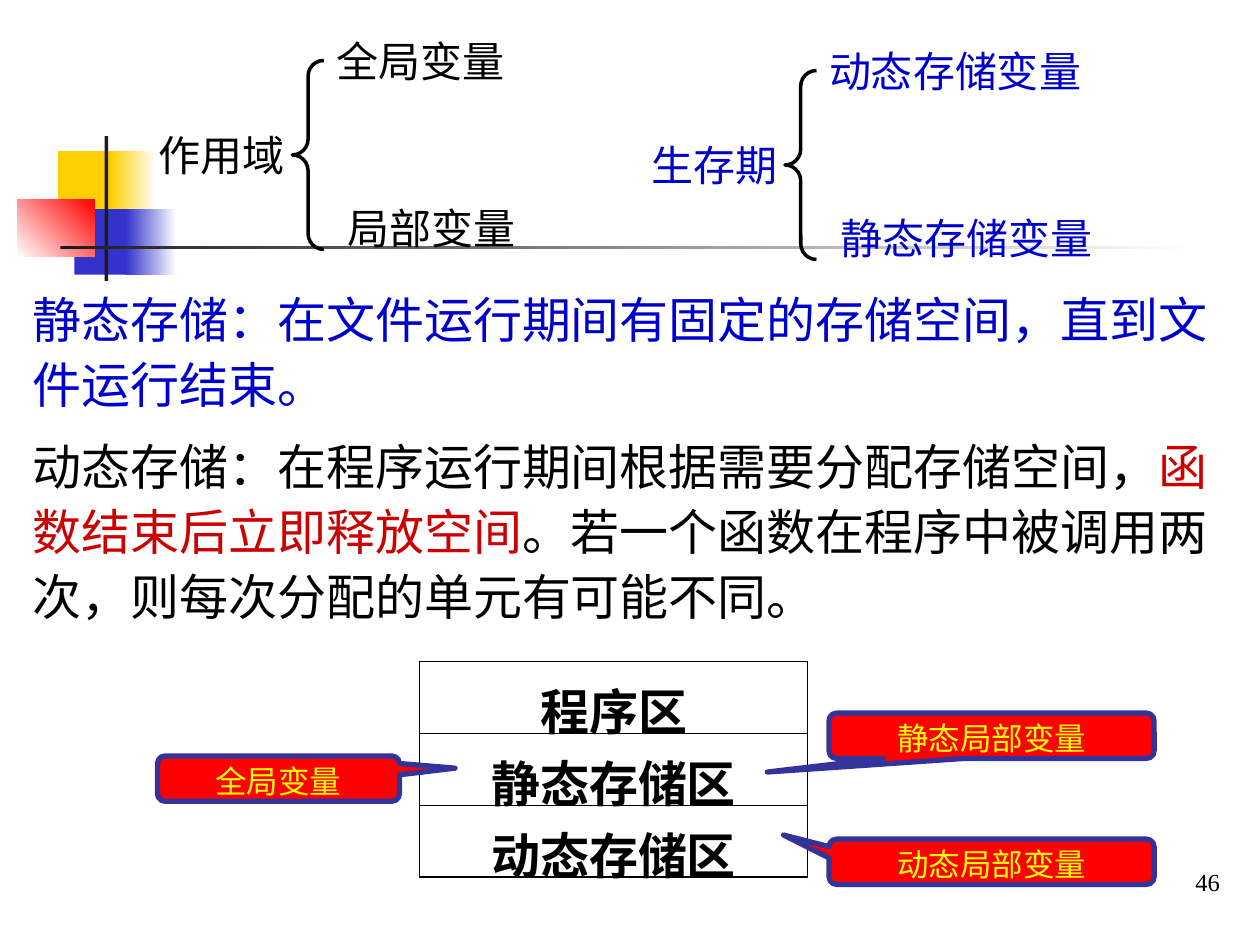
import pptx
import pptx.dml.color
import pptx.enum.shapes
import pptx.enum.text
import pptx.oxml
import pptx.oxml.ns
import pptx.util

PX = 9144  # EMU per px, 100 px to the inch
FONT = "Times New Roman"
COLORS = {
    "white": "FFFFFF", "black": "000000", "ink": "1C1C1C", "gold": "FFCF01",
    "indigo": "3333CC", "red": "FF0000", "blue": "0000CC", "crimson": "CC0000",
    "navy": "333399", "yellow": "FFFF00",
}
SHAPES = pptx.enum.shapes.MSO_SHAPE
ALIGN = pptx.enum.text.PP_ALIGN


def rgb(name):
    return pptx.dml.color.RGBColor.from_string(COLORS[name])


def emu(*lengths):
    return [pptx.util.Emu(length * PX) for length in lengths]


def write_text(frame, *spans, size, color="black", bold=False, align=ALIGN.LEFT,
               spacing=1.0, margins=(2, 1, 2, 1)):
    """Fill a text frame; each span is a string or a (string, color) pair."""
    frame.word_wrap = True
    frame.vertical_anchor = pptx.enum.text.MSO_ANCHOR.TOP
    (frame.margin_left, frame.margin_top,
     frame.margin_right, frame.margin_bottom) = emu(*margins)
    para = frame.paragraphs[0]
    para.alignment = align
    para.line_spacing = spacing
    for span in spans:
        words, span_color = (span, color) if isinstance(span, str) else span
        run = para.add_run()
        run.text = words
        run.font.name = FONT
        run.font.size = pptx.util.Pt(size)
        run.font.bold = bold
        run.font.color.rgb = rgb(span_color)


class SlideBuilder:
    def __init__(self, deck):
        self.page = deck.slides.add_slide(deck.slide_layouts[6])

    def shape(self, kind, place, fill=None, line=None, width=1):
        box = self.page.shapes.add_shape(kind, *emu(*place))
        box.shadow.inherit = False
        if fill:
            box.fill.solid()
            box.fill.fore_color.rgb = rgb(fill)
        else:
            box.fill.background()
        if line:
            box.line.color.rgb = rgb(line)
            box.line.width = pptx.util.Pt(width)
        else:
            box.line.fill.background()
        return box

    def gradient(self, place, start, end, angle=0):
        box = self.shape(SHAPES.RECTANGLE, place)
        box.fill.gradient()
        box.fill.gradient_angle = angle
        for stop, color, position in zip(box.fill.gradient_stops, (start, end), (0, 1)):
            stop.color.rgb = rgb(color)
            stop.position = position

    def text(self, place, *spans, **style):
        box = self.page.shapes.add_textbox(*emu(*place))
        write_text(box.text_frame, *spans, **style)

    def brace(self, place):
        box = self.shape(SHAPES.LEFT_BRACE, place, line="black", width=2)
        box.adjustments[0] = 0.5

    def callout(self, place, words, tip):
        box = self.shape(SHAPES.ROUNDED_RECTANGULAR_CALLOUT, place, "red", "navy", 3)
        box.adjustments[0], box.adjustments[1] = tip
        write_text(box.text_frame, words, size=18, color="yellow",
                   align=ALIGN.CENTER, spacing=1.1, margins=(0, 0, 0, 0))

    def table(self, left, top, width, row_height, rows):
        frame = self.page.shapes.add_table(
            len(rows), 1, *emu(left, top, width, row_height * len(rows)))
        grid = frame.table
        grid.first_row = grid.horz_banding = False
        for index, words in enumerate(rows):
            grid.rows[index].height = emu(row_height)[0]
            cell = grid.cell(index, 0)
            write_text(cell.text_frame, words, size=28, bold=True, align=ALIGN.CENTER)
            (cell.margin_left, cell.margin_top,
             cell.margin_right, cell.margin_bottom) = emu(2, 10, 2, 0)
            outer, inner = 1.08, 0.45
            self.borders(cell, L=outer, R=outer, T=inner if index else outer,
                         B=outer if index == len(rows) - 1 else inner)
            cell.fill.background()

    def borders(self, cell, **widths):
        properties = cell._tc.get_or_add_tcPr()
        for side, width in widths.items():
            properties.append(pptx.oxml.parse_xml(
                f'<a:ln{side} {pptx.oxml.ns.nsdecls("a")} w="{pptx.util.Pt(width)}">'
                f'<a:solidFill><a:srgbClr val="{COLORS["black"]}"/></a:solidFill>'
                f'</a:ln{side}>'))


def main():
    deck = pptx.Presentation()
    deck.slide_width, deck.slide_height = emu(1000, 750)
    slide = SlideBuilder(deck)

    # Corner ornament and rule
    slide.shape(SHAPES.RECTANGLE, (46, 120, 48, 52), "gold")
    slide.gradient((88, 120, 36, 52), "gold", "white")
    slide.shape(SHAPES.RECTANGLE, (59, 166, 46, 52), "indigo")
    slide.gradient((100, 166, 40, 52), "indigo", "white")
    slide.gradient((14, 158, 61, 46), "white", "red", angle=45)
    slide.shape(SHAPES.RECTANGLE, (83, 108, 3, 115), "ink")
    slide.gradient((48, 195, 900, 3), "ink", "white")

    # Two classifications, each a heading with a brace and two kinds
    for x, y, color, heading, upper, lower in (
            (124, 23, "black", "作用域", "全局变量", "局部变量"),
            (515, 31, "blue", "生存期", "动态存储变量", "静态存储变量")):
        slide.brace((x + 108, y + 25, 25, 150))
        for dx, dy, words in ((0, 75, heading), (141, 0, upper), (150, 133, lower)):
            slide.text((x + dx, y + dy, 36 * len(words) + 10, 46), words,
                       size=24, color=color, spacing=1.1)

    # Definitions
    slide.text((24, 224, 956, 105),
               "静态存储：在文件运行期间有固定的存储空间，直到文件运行结束。",
               size=28, color="blue", spacing=1.1)
    slide.text((24, 341, 956, 156),
               "动态存储：在程序运行期间根据需要分配存储空间，",
               ("函数结束后立即释放空间", "crimson"),
               "。若一个函数在程序中被调用两次，则每次分配的单元有可能不同。",
               size=28, spacing=1.1)

    # Memory areas and what is stored in them
    slide.table(333, 525, 308, 57, ("程序区", "静态存储区", "动态存储区"))
    slide.callout((125, 600, 192, 36), "全局变量", (0.73, -0.23))
    slide.callout((658, 566, 258, 36), "静态局部变量", (-0.69, 0.8))
    slide.callout((658, 666, 258, 36), "动态局部变量", (-0.64, -0.59))

    # Page number
    slide.text((770, 683, 208, 50), "46", size=14, align=ALIGN.RIGHT,
               margins=(10, 5, 10, 5))

    deck.save("out.pptx")


if __name__ == "__main__":
    main()
